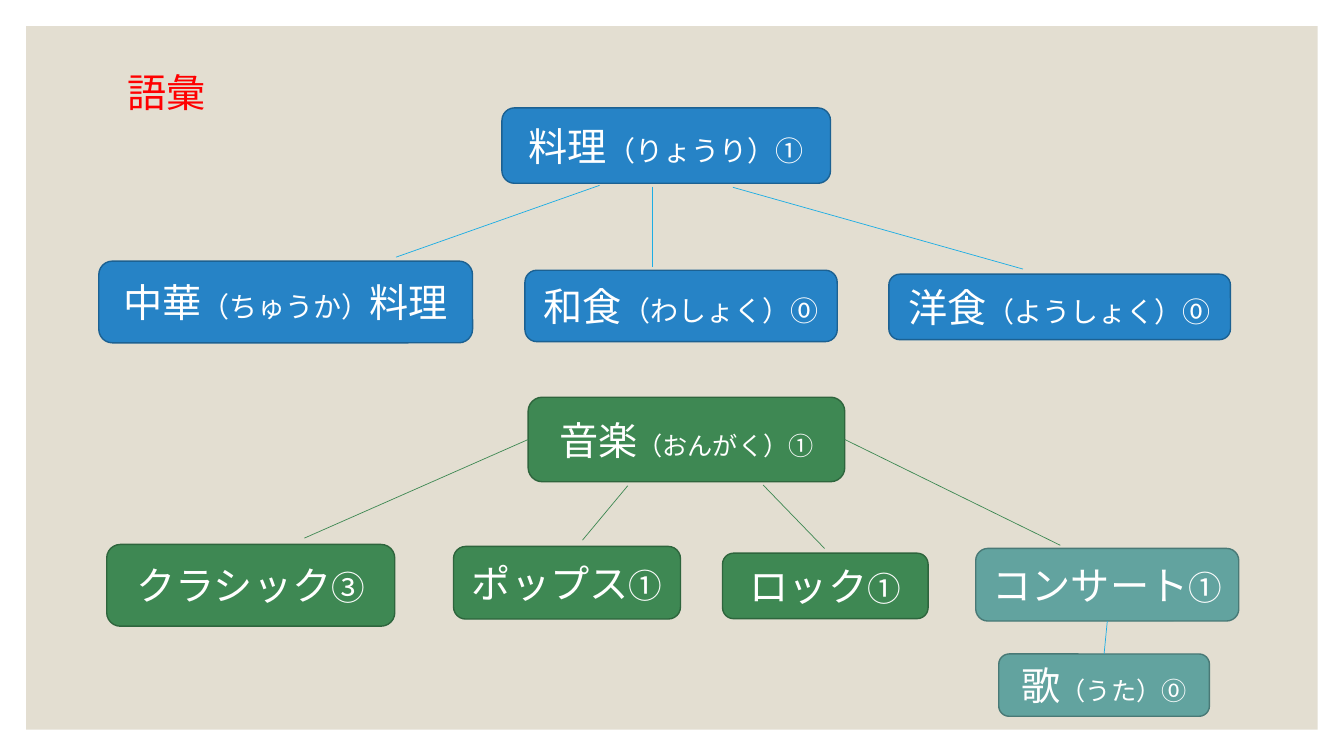
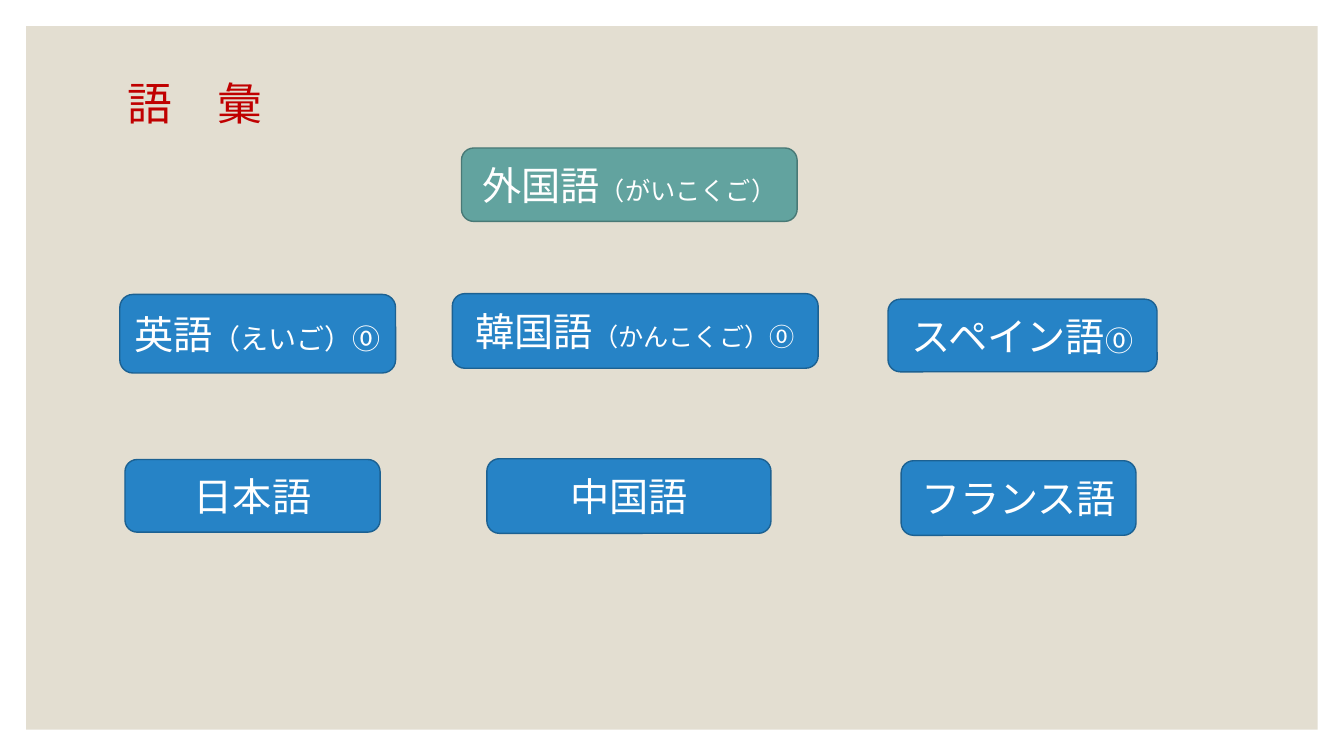
from lxml.etree import SubElement
from pptx import Presentation
from pptx.dml.color import RGBColor
from pptx.enum.lang import MSO_LANGUAGE_ID as Language
from pptx.enum.shapes import MSO_CONNECTOR as Connector, MSO_SHAPE as Shape
from pptx.enum.text import MSO_ANCHOR as Anchor, PP_ALIGN as Align
from pptx.oxml.ns import qn
from pptx.util import Cm, Pt

COLOURS = {
    "panel": "E3DED1", "text": "FFFFFF", "red": "FF0000", "dark_red": "C00000",
    "blue": "2683C6", "blue_edge": "1C6192",
    "green": "3E8853", "green_edge": "2E653D",
    "teal": "62A39F", "teal_edge": "497976", "sky": "1CADE4",
}
FONT = "League Spartan"
WIDTH, HEIGHT, MARGIN = 33.87, 19.05, 0.66
WORD = 28
BOTTOM, LEFT, TOP, RIGHT = 2, 1, 0, 3


def colour(name):
    """Return the palette colour with this name."""
    return RGBColor.from_string(COLOURS[name])


def add_span(para, text, size, tone):
    """Add one run of Japanese text."""
    span = para.add_run()
    span.text = text
    span.font.size = Pt(size)
    span.font.color.rgb = colour(tone)
    span.font.name = FONT
    span.font.language_id = Language.JAPANESE
    SubElement(span.font._element, qn("a:ea"), typeface=FONT)


def add_panel(page):
    """Draw the beige panel inside the white margin."""
    panel = page.shapes.add_shape(
        Shape.RECTANGLE, Cm(MARGIN), Cm(MARGIN),
        Cm(WIDTH - 2 * MARGIN), Cm(HEIGHT - 2 * MARGIN))
    panel.shadow.inherit = False
    panel.fill.solid()
    panel.fill.fore_color.rgb = colour("panel")
    panel.line.fill.background()


def add_title(page, text, size, tone, height):
    """Write the slide title."""
    title = page.shapes.add_textbox(Cm(2.97), Cm(1.78), Cm(27.94), Cm(height))
    title.text_frame.word_wrap = True
    title.text_frame.vertical_anchor = Anchor.MIDDLE
    para = title.text_frame.paragraphs[0]
    para.line_spacing = 0.9
    add_span(para, text, size, tone)


def add_page(deck, title, size, tone, height):
    """Add a slide with the shared panel and a title."""
    page = deck.slides.add_slide(deck.slide_layouts[6])
    add_panel(page)
    add_title(page, title, size, tone, height)
    return page


def add_word(page, origin, box, tone, spans):
    """Draw a rounded word card, placed relative to the origin."""
    left, top, width, height = box
    card = page.shapes.add_shape(
        Shape.ROUNDED_RECTANGLE, Cm(origin[0] + left), Cm(origin[1] + top),
        Cm(width), Cm(height))
    card.shadow.inherit = False
    card.fill.solid()
    card.fill.fore_color.rgb = colour(tone)
    card.line.color.rgb = colour(tone + "_edge")
    card.line.width = Pt(1)
    card.text_frame.word_wrap = True
    card.text_frame.vertical_anchor = Anchor.MIDDLE
    para = card.text_frame.paragraphs[0]
    para.alignment = Align.CENTER
    for text, size in spans:
        add_span(para, text, size, "text")
    return card


def add_words(page, origin, words):
    """Draw several word cards and return them in order."""
    return [add_word(page, origin, *word) for word in words]


def add_branch(page, origin, start, end, tone):
    """Draw a thin line between two points relative to the origin."""
    ends = [Cm(base + offset) for point in (start, end)
            for base, offset in zip(origin, point)]
    branch = page.shapes.add_connector(Connector.STRAIGHT, *ends)
    branch.line.color.rgb = colour(tone)
    branch.line.width = Pt(0.5)
    SubElement(branch._element.spPr, qn("a:effectLst"))
    return branch


def add_food_tree(page, origin):
    """Draw cooking and its three kinds."""
    add_words(page, origin, [
        ((10.16, 0, 8.28, 1.9), "blue", [("料理", WORD), ("（りょうり）①", 20)]),
        ((0, 3.86, 9.42, 2.06), "blue",
         [("中華", WORD), ("（ちゅうか）", 20), ("料理", WORD)]),
        ((10.74, 4.09, 7.87, 1.8), "blue", [("和食", WORD), ("（わしょく）⓪", 20)]),
        ((19.91, 4.19, 8.61, 1.65), "blue", [("洋食", WORD), ("（ようしょく）⓪", 20)]),
    ])
    for start, end in [((12.62, 1.95), (7.49, 3.76)),
                       ((15.98, 2), (23.29, 4.06)),
                       ((13.94, 1.98), (13.94, 4.01))]:
        add_branch(page, origin, start, end, "sky")


def add_music_tree(page, origin):
    """Draw music, its kinds, and the concert with its song."""
    music, *_, concert, song = add_words(page, origin, [
        ((10.62, 0, 7.98, 2.13), "green", [("音楽", WORD), ("（おんがく）①", 18)]),
        ((0, 3.71, 7.26, 2.06), "green", [("クラシック", WORD), ("③", 24)]),
        ((8.74, 3.76, 5.72, 1.83), "green", [("ポップス", WORD), ("①", 24)]),
        ((15.52, 3.93, 5.18, 1.65), "green", [("ロック", WORD), ("①", 24)]),
        ((21.9, 3.81, 6.63, 1.83), "teal", [("コンサート", WORD), ("①", 24)]),
        ((22.48, 6.47, 5.31, 1.57), "teal", [("歌", WORD), ("（うた）⓪", 18)]),
    ])
    for start, end, side in [((10.62, 1.07), (4.98, 3.55), LEFT),
                             ((13.13, 2.23), (11.99, 3.6), None),
                             ((16.54, 2.21), (18.09, 3.81), None),
                             ((18.6, 1.07), (24.03, 3.73), RIGHT)]:
        branch = add_branch(page, origin, start, end, "green")
        if side is not None:
            branch.begin_connect(music, side)
    branch = add_branch(page, origin, (25.22, 5.64), (25.14, 6.47), "sky")
    branch.begin_connect(concert, BOTTOM)
    branch.end_connect(song, TOP)


def add_languages(page, origin):
    """Draw foreign language above two rows of languages."""
    add_words(page, origin, [
        ((8.61, 0, 8.46, 1.85), "teal", [("外国語", WORD), ("（がいこくご）", 18)]),
        ((0, 3.69, 6.95, 1.98), "blue", [("英語", WORD), ("（えいご）⓪", 20)]),
        ((8.38, 3.67, 9.22, 1.88), "blue", [("韓国語", WORD), ("（かんこくご）⓪", 18)]),
        ((19.36, 3.81, 6.78, 1.83), "blue", [("スペイン語", WORD), ("⓪", 20)]),
        ((0.13, 7.85, 6.43, 1.83), "blue", [("日本語", WORD)]),
        ((9.25, 7.83, 7.16, 1.88), "blue", [("中国語", WORD)]),
        ((19.69, 7.88, 5.92, 1.88), "blue", [("フランス語", WORD)]),
    ])


def main():
    """Build and save the deck."""
    deck = Presentation()
    deck.slide_width, deck.slide_height = Cm(WIDTH), Cm(HEIGHT)
    page = add_page(deck, "語彙", 28, "red", 1.2)
    add_food_tree(page, (2.49, 2.72))
    add_music_tree(page, (2.69, 10.01))
    page = add_page(deck, "語　彙", 32, "dark_red", 1.8)
    add_languages(page, (3.02, 3.73))
    deck.save("out.pptx")


if __name__ == "__main__":
    main()
